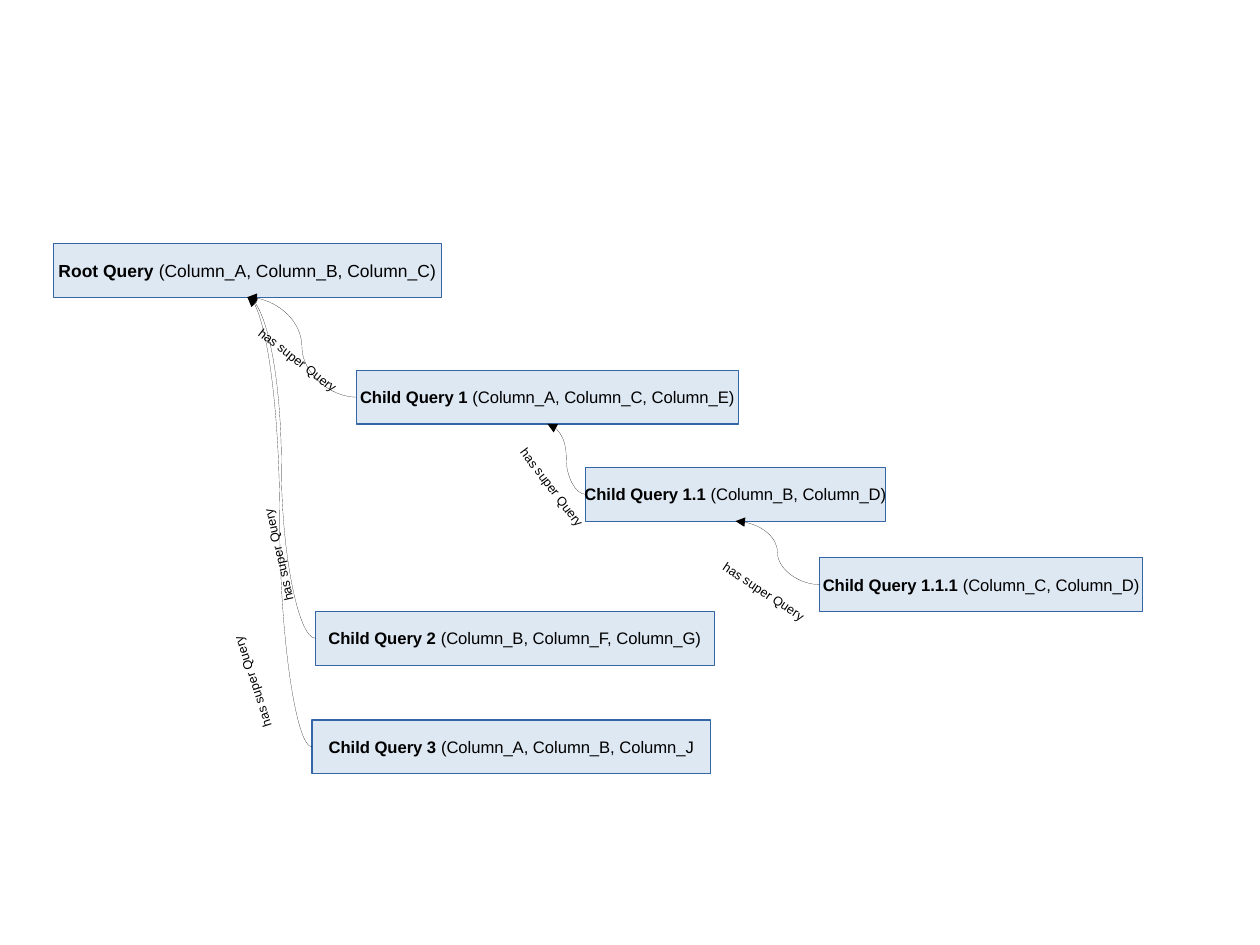
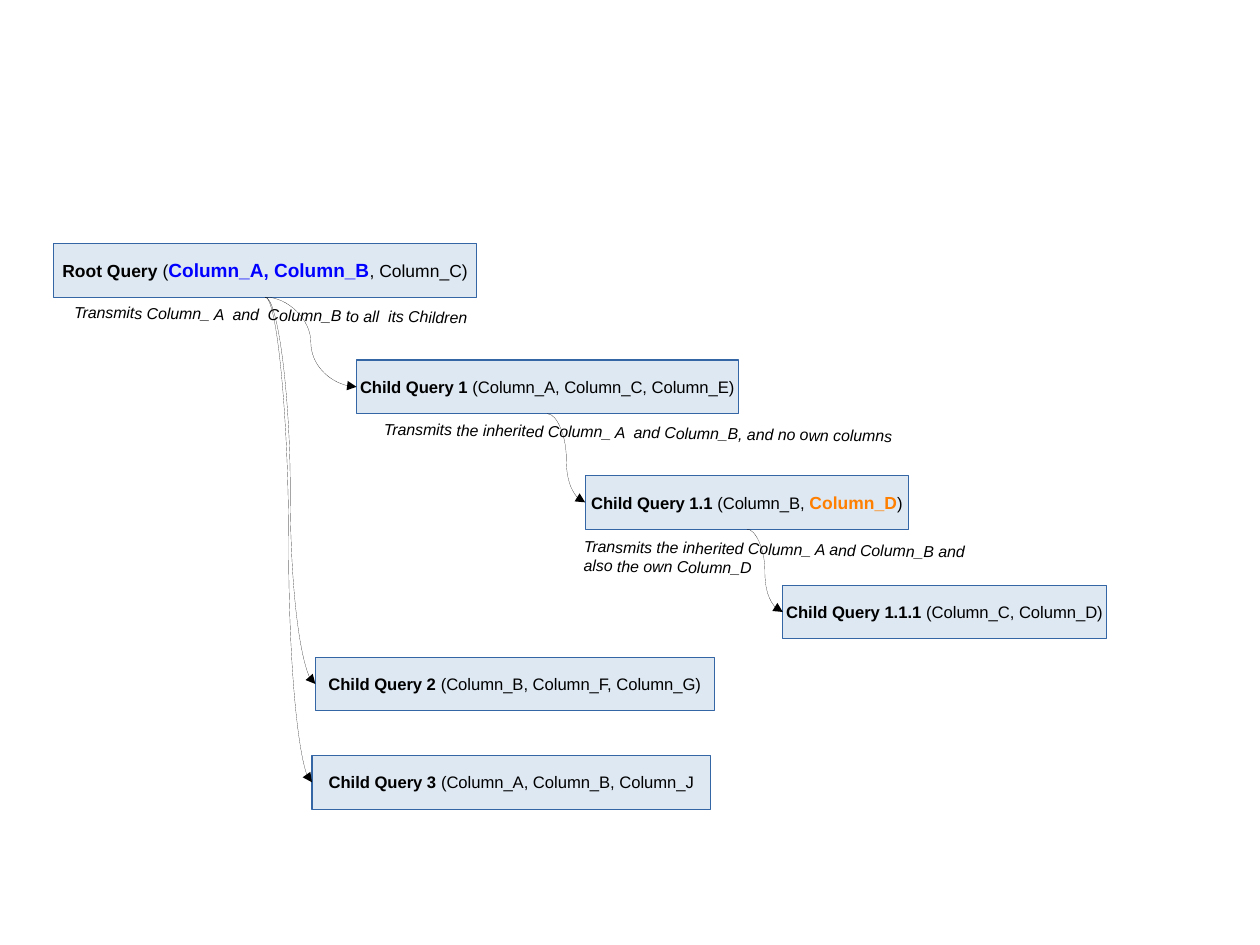
"""Build two slides that show how queries inherit columns from their super query."""
from dataclasses import dataclass
from typing import Any

from lxml import etree
from pptx import Presentation
from pptx import util as u
from pptx.dml.color import RGBColor
from pptx.enum import shapes, text
from pptx.oxml.ns import qn

COLORS = {
    "fill": "729FCF",
    "border": "3465A4",
    "ink": "000000",
    "blue": "0000FF",
    "orange": "FF7F00",
}
CM_PER_INCH = 2.54
PAGE_WIDTH, PAGE_HEIGHT = 28 / CM_PER_INCH, 21 / CM_PER_INCH
FILL_OPACITY = 23
BOX_HEIGHT = 0.47
FONT = "Arial"
FORMATS: dict[str, dict[str, Any]] = {
    "root name": {"size": u.Pt(11), "bold": True},
    "root": {"size": u.Pt(11), "bold": False},
    "name": {"size": u.Pt(10.5), "bold": True},
    "columns": {"size": u.Pt(10.5), "bold": False},
    "inherited": {"size": u.Pt(12), "bold": True},
    "own": {"size": u.Pt(11), "bold": True},
    "relation": {"size": u.Pt(8)},
    "note": {"size": u.Pt(10), "italic": True},
}


@dataclass(frozen=True)
class Span:
    words: str
    style: str
    color: str = "ink"


@dataclass(frozen=True)
class Query:
    spans: tuple[Span, ...]
    left: float
    top: float
    width: float
    parent: int | None = 0

    @property
    def entry(self) -> tuple[float, float]:
        return self.left, self.top + BOX_HEIGHT / 2

    @property
    def outlet(self) -> tuple[float, float]:
        return self.left + self.width / 2, self.top + BOX_HEIGHT


@dataclass(frozen=True)
class Label:
    span: Span
    left: float
    top: float
    width: float
    height: float
    angle: float


@dataclass(frozen=True)
class Diagram:
    queries: tuple[Query, ...]
    labels: tuple[Label, ...]
    arrow_end: str


def child(number: str, columns: str) -> tuple[Span, ...]:
    return Span(f"Child Query {number} ", "name"), Span(columns, "columns")


def relation(left: float, top: float, angle: float) -> Label:
    return Label(Span("has super Query", "relation"), left, top, 1.1, 0.22, angle)


def note(words: str, left: float, top: float, width: float, height: float) -> Label:
    return Label(Span(words, "note"), left, top, width, height, 0.8)


ROOT_NAME = Span("Root Query ", "root name")
CHILD_1 = child("1", "(Column_A, Column_C, Column_E)")
CHILD_2 = child("2", "(Column_B, Column_F, Column_G)")
CHILD_3 = child("3", "(Column_A, Column_B, Column_J")
CHILD_111 = child("1.1.1", "(Column_C, Column_D)")

DIAGRAMS = (
    Diagram(
        queries=(
            Query((ROOT_NAME, Span("(Column_A, Column_B, Column_C)", "root")),
                  0.47, 2.13, 3.39, None),
            Query(CHILD_1, 3.12, 3.24, 3.34),
            Query(child("1.1", "(Column_B, Column_D)"), 5.12, 4.09, 2.63, 1),
            Query(CHILD_111, 7.17, 4.88, 2.83, 2),
            Query(CHILD_2, 2.76, 5.35, 3.49),
            Query(CHILD_3, 2.73, 6.3, 3.49),
        ),
        labels=(
            relation(1.87, 4.71, 257.1),
            relation(4.31, 4.18, 52.7),
            relation(6.17, 5.08, 33.6),
            relation(1.64, 5.82, 251.8),
            relation(2.09, 3.06, 37.8),
        ),
        arrow_end="a:tailEnd",
    ),
    Diagram(
        queries=(
            Query((ROOT_NAME, Span("(", "root"),
                   Span("Column_A, Column_B", "inherited", "blue"),
                   Span(", Column_C)", "root")), 0.47, 2.13, 3.7, None),
            Query(CHILD_1, 3.12, 3.15, 3.34),
            Query((*child("1.1", "(Column_B, "), Span("Column_D", "own", "orange"),
                   Span(")", "columns")), 5.12, 4.16, 2.83, 1),
            Query(CHILD_111, 6.85, 5.12, 2.83, 2),
            Query(CHILD_2, 2.76, 5.75, 3.49),
            Query(CHILD_3, 2.73, 6.61, 3.49),
        ),
        labels=(
            note("Transmits Column_ A  and  Column_B to all  its Children",
                 0.55, 2.62, 3.7, 0.29),
            note("Transmits the inherited Column_ A  and Column_B, and no own columns",
                 3.26, 3.65, 4.69, 0.27),
            note("Transmits the inherited Column_ A and Column_B and also the own Column_D",
                 5.01, 4.67, 3.66, 0.41),
        ),
        arrow_end="a:headEnd",
    ),
)


def rgb(color: str) -> RGBColor:
    return RGBColor.from_string(COLORS[color])


def write(para: Any, span: Span) -> None:
    run = para.add_run()
    run.text = span.words
    run.font.name = FONT
    run.font.color.rgb = rgb(span.color)
    for attribute, value in FORMATS[span.style].items():
        setattr(run.font, attribute, value)


def draw_query(page: Any, query: Query) -> None:
    box = page.shapes.add_shape(
        shapes.MSO_SHAPE.RECTANGLE,
        *map(u.Inches, (query.left, query.top, query.width, BOX_HEIGHT)),
    )
    box.shadow.inherit = False
    box.fill.solid()
    box.fill.fore_color.rgb = rgb("fill")
    fill_color = box.element.spPr.find(qn("a:solidFill"))[0]
    etree.SubElement(fill_color, qn("a:alpha"), val=str(FILL_OPACITY * 1000))
    box.line.color.rgb = rgb("border")
    box.line.width = u.Pt(0.75)
    box.text_frame.word_wrap = False
    box.text_frame.vertical_anchor = text.MSO_ANCHOR.MIDDLE
    para = box.text_frame.paragraphs[0]
    para.alignment = text.PP_ALIGN.CENTER
    for span in query.spans:
        write(para, span)


def draw_link(page: Any, query: Query, parent: Query, arrow_end: str) -> None:
    link = page.shapes.add_connector(
        shapes.MSO_CONNECTOR.CURVE, *map(u.Inches, (*query.entry, *parent.outlet))
    )
    link.element.remove(link.element.find(qn("p:style")))
    link.line.color.rgb = rgb("ink")
    properties = link.element.spPr
    etree.SubElement(properties.find(qn("a:ln")), qn(arrow_end), type="triangle")
    etree.SubElement(properties, qn("a:effectLst"))


def draw_label(page: Any, label: Label) -> None:
    box = page.shapes.add_textbox(
        *map(u.Inches, (label.left, label.top, label.width, label.height))
    )
    box.rotation = label.angle
    box.text_frame.word_wrap = True
    write(box.text_frame.paragraphs[0], label.span)


def draw_diagram(page: Any, diagram: Diagram) -> None:
    for query in diagram.queries:
        draw_query(page, query)
    for query in diagram.queries:
        if query.parent is not None:
            draw_link(page, query, diagram.queries[query.parent], diagram.arrow_end)
    for label in diagram.labels:
        draw_label(page, label)


def main() -> None:
    deck = Presentation()
    deck.slide_width, deck.slide_height = u.Inches(PAGE_WIDTH), u.Inches(PAGE_HEIGHT)
    blank_layout = deck.slide_layouts[6]
    for diagram in DIAGRAMS:
        draw_diagram(deck.slides.add_slide(blank_layout), diagram)
    deck.save("out.pptx")


if __name__ == "__main__":
    main()
